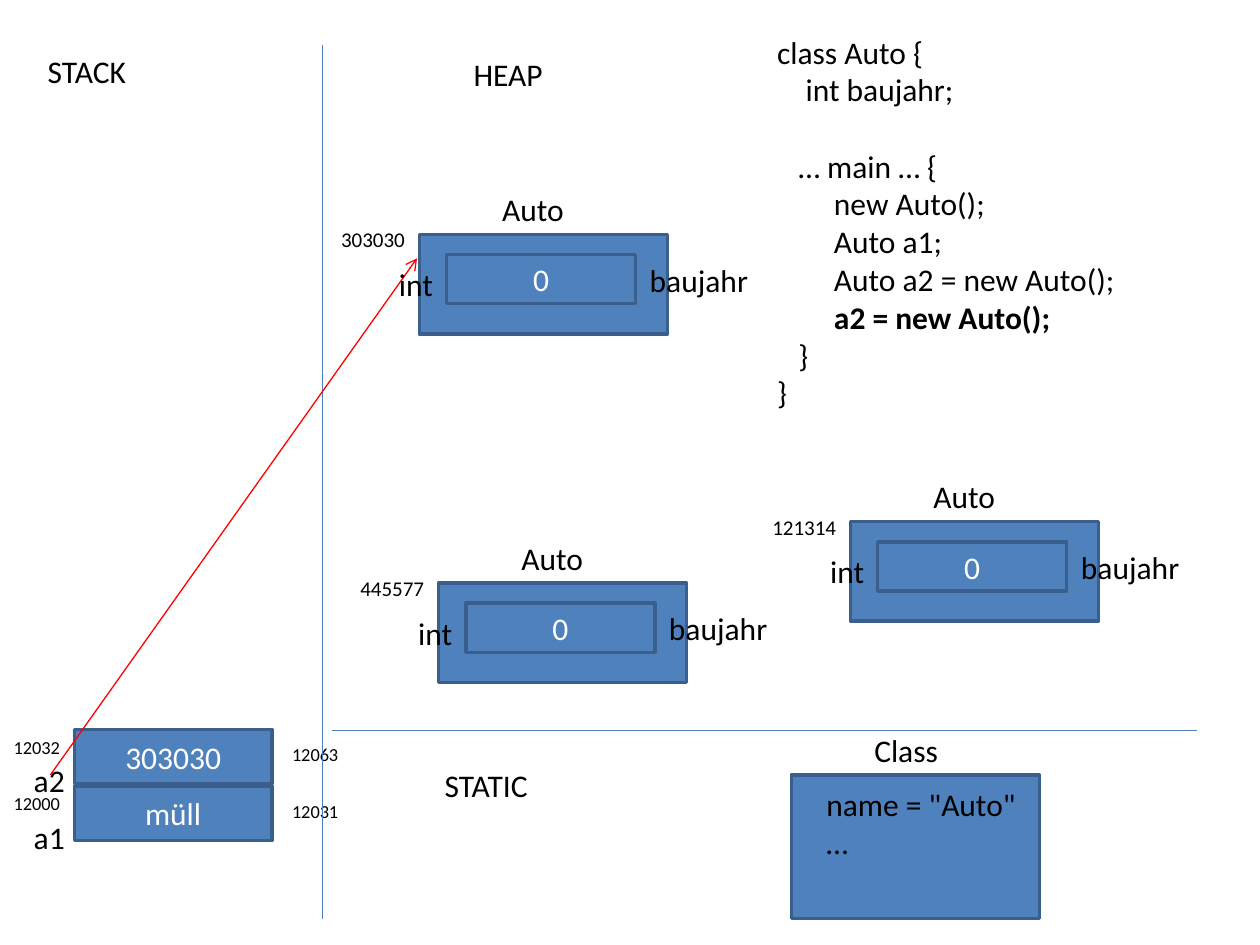
"""Memory diagram slide: stack, heap and static areas beside a short program."""
import pptx
import pptx.util
import pptx.dml.color
import pptx.enum.shapes
import pptx.enum.text
import pptx.oxml
import pptx.oxml.ns

Pt = pptx.util.Pt
RGB = pptx.dml.color.RGBColor
BLACK = RGB(0x00, 0x00, 0x00)
WHITE = RGB(0xFF, 0xFF, 0xFF)
BLUE = RGB(0x4F, 0x81, 0xBD)
EDGE = RGB(0x3A, 0x5F, 0x8C)
RULE = RGB(0x4B, 0x7E, 0xBC)
RED = RGB(0xFF, 0x00, 0x00)

deck = pptx.Presentation()
deck.slide_width, deck.slide_height = Pt(720), Pt(540)
slide = deck.slides.add_slide(deck.slide_layouts[6])
shapes = slide.shapes


def label(x, y, w, h, lines, size=18, wrap=False):
    """Add a text box; each line is text, indent, space before and bold."""
    frame = shapes.add_textbox(Pt(x), Pt(y), Pt(w), Pt(h)).text_frame
    frame.word_wrap = wrap
    for i, (text, indent, gap, bold) in enumerate(lines):
        para = frame.add_paragraph() if i else frame.paragraphs[0]
        para.space_before = Pt(gap)
        para._p.get_or_add_pPr().set("marL", str(Pt(indent)))
        run = para.add_run()
        run.text = text
        font = run.font
        font.name, font.size, font.bold = "Calibri", Pt(size), bold
        font.color.rgb = BLACK


def box(x, y, w, h, text=""):
    """Add a blue rectangle with optional centred white text."""
    rect = shapes.add_shape(pptx.enum.shapes.MSO_SHAPE.RECTANGLE,
                            Pt(x), Pt(y), Pt(w), Pt(h))
    rect.shadow.inherit = False
    rect.fill.solid()
    rect.fill.fore_color.rgb = BLUE
    rect.line.color.rgb = EDGE
    rect.line.width = Pt(2)
    if text:
        frame = rect.text_frame
        frame.vertical_anchor = pptx.enum.text.MSO_ANCHOR.MIDDLE
        para = frame.paragraphs[0]
        para.alignment = pptx.enum.text.PP_ALIGN.CENTER
        run = para.add_run()
        run.text = text
        run.font.name, run.font.size = "Calibri", Pt(18)
        run.font.color.rgb = WHITE


code = [
    ("class Auto {", 0, 0, False),
    ("int baujahr;", 16.3, 0, False),
    ("… main … {", 12.2, 22, False),
    ("new Auto();", 32.5, 0, False),
    ("Auto a1;", 32.5, 0, False),
    ("Auto a2 = new Auto();", 32.5, 0, False),
    ("a2 = new Auto();", 32.5, 0, True),
    ("}", 12.2, 0, False),
    ("}", 0, 0, False),
]
label(437, 15.1, 247, 225.4, code, wrap=True)

box(452.2, 442.8, 141.8, 82.1)
label(465.1, 445, 123.8, 51, [('name = "Auto"', 0, 0, False), ("…", 0, 0, False)])

for text, x, y, w in [("STACK", 20.2, 25.9, 59.8), ("HEAP", 263.5, 28.1, 54),
                      ("STATIC", 247, 434.2, 62.6), ("Class", 492.5, 414, 51.1)]:
    label(x, y, w, 29, [(text, 0, 0, False)])

stack = [("a1", "müll", "12000", "12031"), ("a2", "303030", "12032", "12063")]
for i, (name, value, first, last) in enumerate(stack):
    y = 449.3 - 32.4 * i
    box(42.5, y, 113, 31, value)
    for text, x, down, w, h, size in [(name, 12.2, 14.4, 32.4, 29, 18),
                                      (first, 0.7, 0, 41.8, 20.2, 10.5),
                                      (last, 159.8, 4.3, 41.8, 20.2, 10.5)]:
        label(x, y + down, w, h, [(text, 0, 0, False)], size)

for x1, y1, x2, y2, color, head in [(184.5, 26, 184.5, 525, RULE, False),
                                    (190, 417.5, 684, 417.5, RULE, False),
                                    (28.8, 442.8, 238.3, 147.6, RED, True)]:
    line = shapes.add_connector(pptx.enum.shapes.MSO_CONNECTOR.STRAIGHT,
                                Pt(x1), Pt(y1), Pt(x2), Pt(y2))
    line.line.color.rgb = color
    line.line.width = Pt(0.75)
    if head:
        tail = pptx.oxml.parse_xml(
            '<a:tailEnd %s type="arrow"/>' % pptx.oxml.ns.nsdecls("a"))
        line.line._get_or_add_ln().append(tail)
    line._element.spPr.append(
        pptx.oxml.parse_xml("<a:effectLst %s/>" % pptx.oxml.ns.nsdecls("a")))

for x, y, place in [(486, 298.1, "121314"), (250.6, 333.2, "445577"),
                    (239.6, 134, "303030")]:
    box(x, y, 141.8, 56.9)
    box(x + 15.6, y + 11.5, 108, 28.1, "0")
    for text, right, down, w, h, size in [("Auto", 40.3, -29, 50.4, 29, 18),
                                          ("int", -18.7, 14, 33.8, 29, 18),
                                          ("baujahr", 124.6, 11.5, 71.3, 29, 18),
                                          (place, -51.8, -7.9, 51.8, 21.8, 12)]:
        label(x + right, y + down, w, h, [(text, 0, 0, False)], size)

deck.save("out.pptx")
